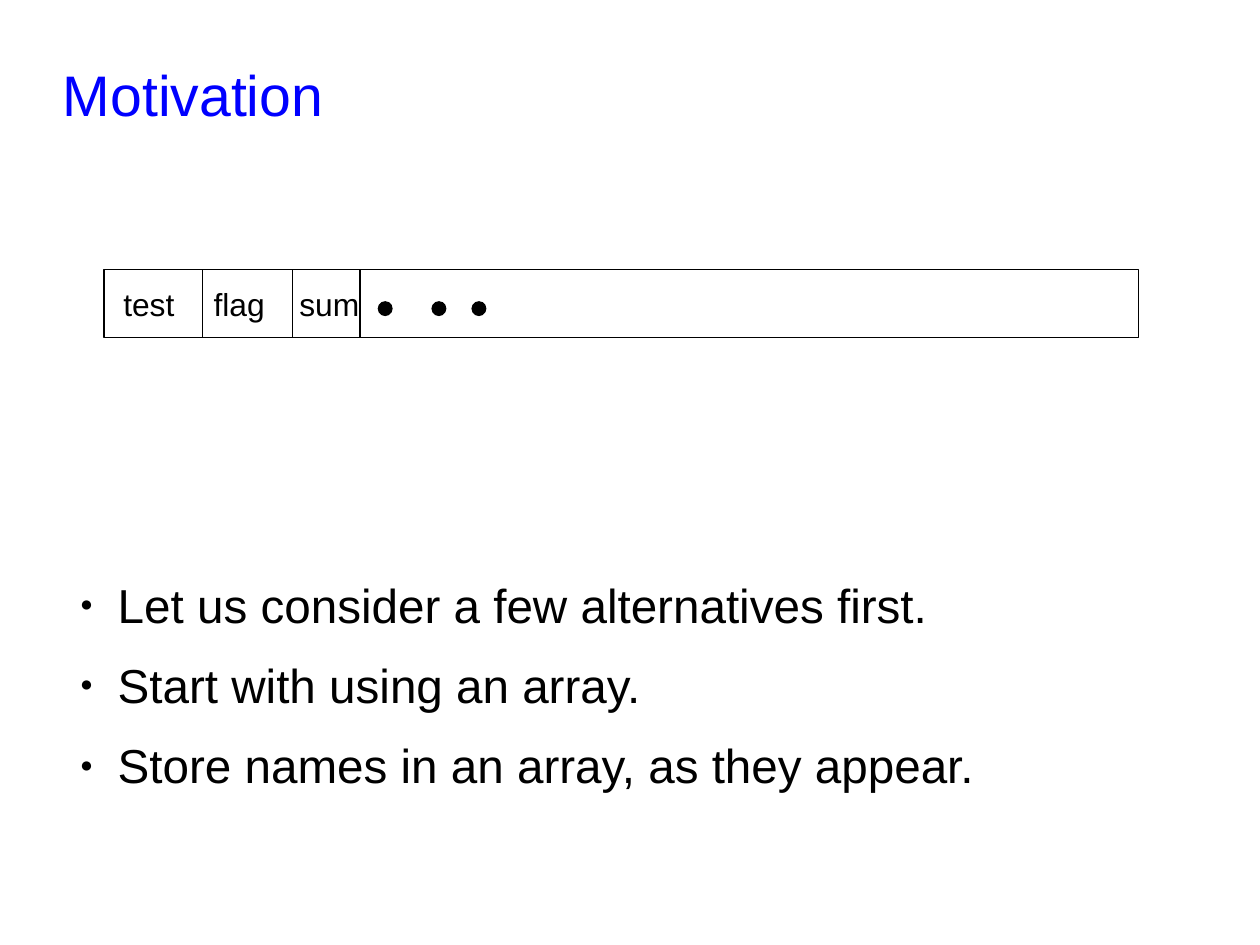
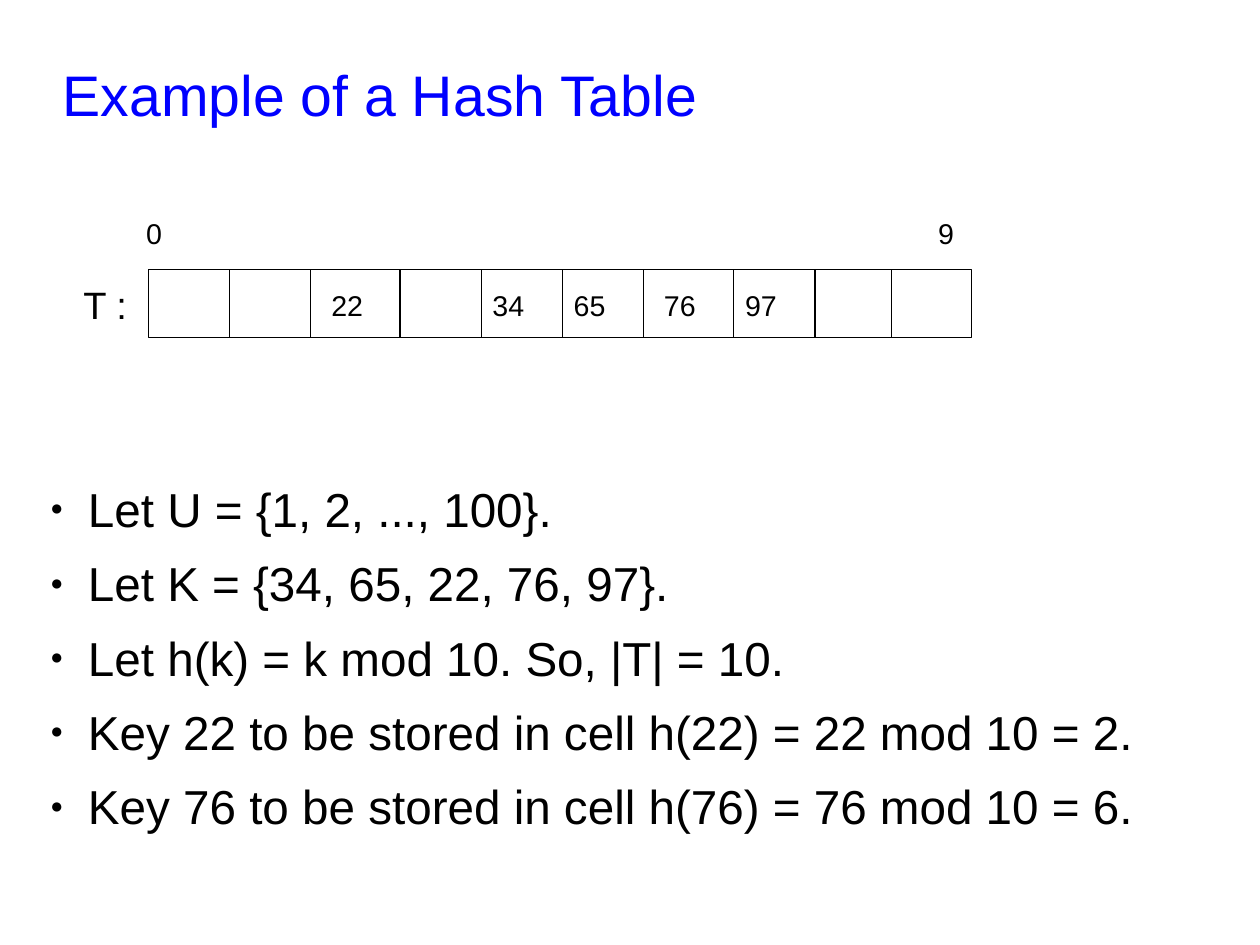
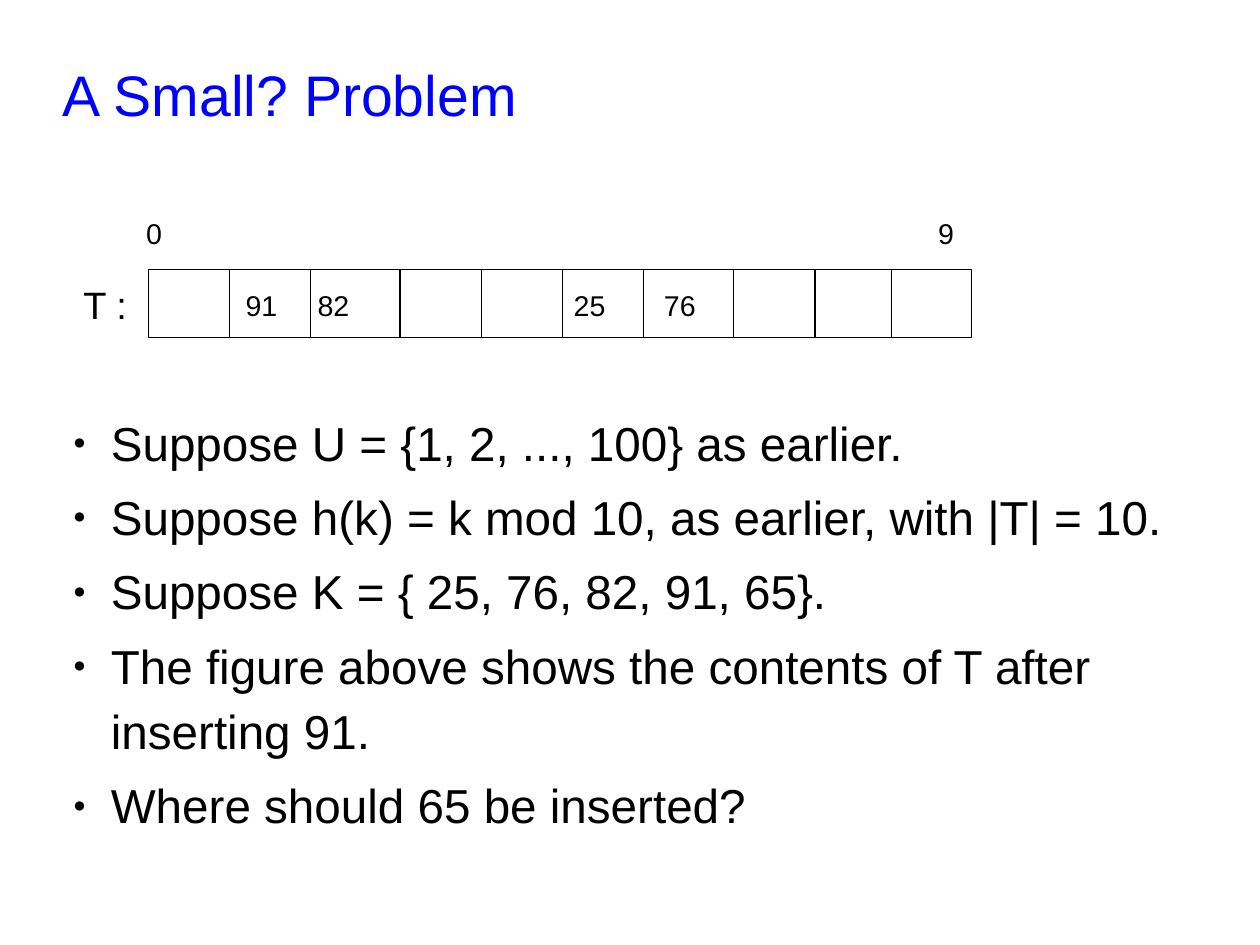
from lxml.etree import SubElement
from pptx import Presentation
from pptx.dml.color import RGBColor
from pptx.enum.shapes import MSO_CONNECTOR, MSO_SHAPE
from pptx.enum.text import MSO_ANCHOR, MSO_AUTO_SIZE, PP_ALIGN
from pptx.oxml.ns import qn
from pptx.util import Cm, Inches, Pt

FONT = "Arial"
BLACK = "000000"
BLUE = "0000FF"
LINE_WIDTH = 0.75
LINE_SPACING = 1.24
LABEL_INSETS = (0.1, 0.05, 0.1, 0.05)
NO_INSETS = (0, 0, 0, 0)
ROW_TOP, ROW_HEIGHT = 2.36, 0.59
KEY_TOP, KEY_WIDTH, LABEL_HEIGHT = 2.4, 0.71, 0.47
HASH_EDGES = [1.3, 2.01, 2.72, 3.5, 4.21, 4.92, 5.63, 6.42, 7.13, 7.8, 8.5]
NAME_EDGES = [0.91, 1.77, 2.56, 3.15, 9.96]


def color(value):
    """Turn a hex string into a colour."""
    return RGBColor.from_string(value)


def apply_format(target, values):
    """Set each attribute named in the format values."""
    for name, value in values.items():
        setattr(target, name, value)


def place(shape, left, top, width, height):
    """Move and size a shape, in inches."""
    apply_format(shape, {
        "left": Inches(left), "top": Inches(top),
        "width": Inches(width), "height": Inches(height),
    })


def format_frame(frame, insets, anchor=MSO_ANCHOR.TOP):
    """Set wrapping, anchor and margins of a text frame."""
    sides = ("margin_left", "margin_top", "margin_right", "margin_bottom")
    apply_format(frame, {
        "auto_size": MSO_AUTO_SIZE.NONE,
        "word_wrap": True,
        "vertical_anchor": anchor,
        **{side: Inches(inset) for side, inset in zip(sides, insets)},
    })


def format_paragraph(paragraph, text, size, text_color=BLACK,
                     spacing=LINE_SPACING, after=0):
    """Fill a paragraph and set its spacing and font."""
    paragraph.text = text
    apply_format(paragraph, {
        "alignment": PP_ALIGN.LEFT, "line_spacing": spacing,
        "space_before": Pt(0), "space_after": Pt(after),
    })
    font = paragraph.runs[0].font
    apply_format(font, {"name": FONT, "size": Pt(size), "bold": False})
    font.color.rgb = color(text_color)


def add_bullet(paragraph):
    """Give a paragraph a small round bullet and a hanging indent."""
    properties = paragraph._p.get_or_add_pPr()
    properties.set("marL", str(Inches(0.44)))
    properties.set("indent", str(Inches(-0.33)))
    bullet_color = SubElement(properties, qn("a:buClr"))
    SubElement(bullet_color, qn("a:srgbClr"), val=BLACK)
    SubElement(properties, qn("a:buSzPct"), val="45000")
    SubElement(properties, qn("a:buFont"), typeface=FONT)
    SubElement(properties, qn("a:buChar"), char="●")


def add_titled_slide(presentation, title):
    """Add a title-only slide with the shared title style."""
    slide = presentation.slides.add_slide(presentation.slide_layouts[5])
    shape = slide.shapes.title
    place(shape, 0.55, 0.38, 9.9, 0.74)
    format_frame(shape.text_frame, NO_INSETS, MSO_ANCHOR.MIDDLE)
    format_paragraph(shape.text_frame.paragraphs[0], title, 36, BLUE)
    return slide


def add_text_box(slide, left, top, width, height, insets):
    """Add an empty text box and return its text frame."""
    box = slide.shapes.add_textbox(
        Inches(left), Inches(top), Inches(width), Inches(height))
    format_frame(box.text_frame, insets)
    return box.text_frame


def add_label(slide, text, left, top, width, height, size=18):
    """Add a one-line label."""
    frame = add_text_box(slide, left, top, width, height, LABEL_INSETS)
    format_paragraph(frame.paragraphs[0], text, size)


def add_bullets(slide, items, left, top, height, spacing):
    """Add a bulleted list."""
    frame = add_text_box(slide, left, top, 9.9, height, NO_INSETS)
    for index, item in enumerate(items):
        paragraph = frame.add_paragraph() if index else frame.paragraphs[0]
        add_bullet(paragraph)
        format_paragraph(paragraph, item, 30, spacing=spacing, after=5.8)


def add_outlined_shape(slide, kind, left, top, width, height, fill=None):
    """Add a thinly outlined preset shape, filled or hollow."""
    shape = slide.shapes.add_shape(
        kind, Inches(left), Inches(top), Inches(width), Inches(height))
    shape.shadow.inherit = False
    if fill:
        shape.fill.solid()
        shape.fill.fore_color.rgb = color(fill)
    else:
        shape.fill.background()
    shape.line.color.rgb = color(BLACK)
    shape.line.width = Pt(LINE_WIDTH)


def add_divider(slide, left):
    """Add a vertical line across the cell row."""
    line = slide.shapes.add_connector(
        MSO_CONNECTOR.STRAIGHT, Inches(left), Inches(ROW_TOP),
        Inches(left), Inches(ROW_TOP + ROW_HEIGHT))
    line.line.color.rgb = color(BLACK)
    line.line.width = Pt(LINE_WIDTH)
    SubElement(line._element.spPr, qn("a:effectLst"))


def add_cell_row(slide, edges):
    """Draw a row of cells between the given edges."""
    add_outlined_shape(slide, MSO_SHAPE.RECTANGLE, edges[0], ROW_TOP,
                       edges[-1] - edges[0], ROW_HEIGHT)
    for edge in edges[1:-1]:
        add_divider(slide, edge)


def add_hash_table(slide, key_lefts):
    """Draw table T with its index labels and stored keys."""
    add_cell_row(slide, HASH_EDGES)
    for index, left in (("0", 1.18), ("9", 8.11)):
        add_label(slide, index, left, 1.77, 0.39, LABEL_HEIGHT)
    for key, left in key_lefts.items():
        add_label(slide, key, left, KEY_TOP, KEY_WIDTH, LABEL_HEIGHT)
    add_label(slide, "T :", 0.63, 2.32, 0.71, 0.59, 24)


def add_motivation(presentation):
    """Build the slide on storing names in an array."""
    slide = add_titled_slide(presentation, "Motivation")
    add_bullets(slide, [
        "Let us consider a few alternatives first.",
        "Start with using an array.",
        "Store names in an array, as they appear.",
    ], 0.59, 4.92, 2.36, 1.24)
    add_cell_row(slide, NAME_EDGES)
    for name, left in (("test", 0.98), ("flag", 1.77), ("sum", 2.52)):
        add_label(slide, name, left, ROW_TOP, 0.79, 0.51, 20)
    for left in (3.31, 3.78, 4.13):
        add_outlined_shape(slide, MSO_SHAPE.OVAL, left, 2.64, 0.12, 0.12, BLACK)


def add_example(presentation):
    """Build the hash table example slide."""
    slide = add_titled_slide(presentation, "Example of a Hash Table")
    add_bullets(slide, [
        "Let U = {1, 2, ..., 100}.",
        "Let K = {34, 65, 22, 76, 97}.",
        "Let h(k) = k mod 10. So, |T| = 10.",
        "Key 22 to be stored in cell h(22) = 22 mod 10 = 2.",
        "Key 76 to be stored in cell h(76) = 76 mod 10 = 6.",
    ], 0.33, 4.13, 3.41, 1.14)
    add_hash_table(
        slide, {"34": 4.21, "65": 4.92, "22": 2.8, "76": 5.71, "97": 6.42})


def add_problem(presentation):
    """Build the collision slide."""
    slide = add_titled_slide(presentation, "A Small? Problem")
    add_bullets(slide, [
        "Suppose U = {1, 2, ..., 100} as earlier.",
        "Suppose h(k) = k mod 10, as earlier, with |T| = 10.",
        "Suppose K = { 25, 76, 82, 91, 65}.",
        "The figure above shows the contents of T after inserting 91.",
        "Where should 65 be inserted?",
    ], 0.53, 3.55, 4.03, 1.14)
    add_hash_table(slide, {"25": 4.92, "82": 2.68, "76": 5.71, "91": 2.05})


def main():
    """Build and save the presentation."""
    presentation = Presentation()
    presentation.slide_width = Cm(28)
    presentation.slide_height = Cm(21)
    for add_slide in (add_motivation, add_example, add_problem):
        add_slide(presentation)
    presentation.save("out.pptx")


if __name__ == "__main__":
    main()
